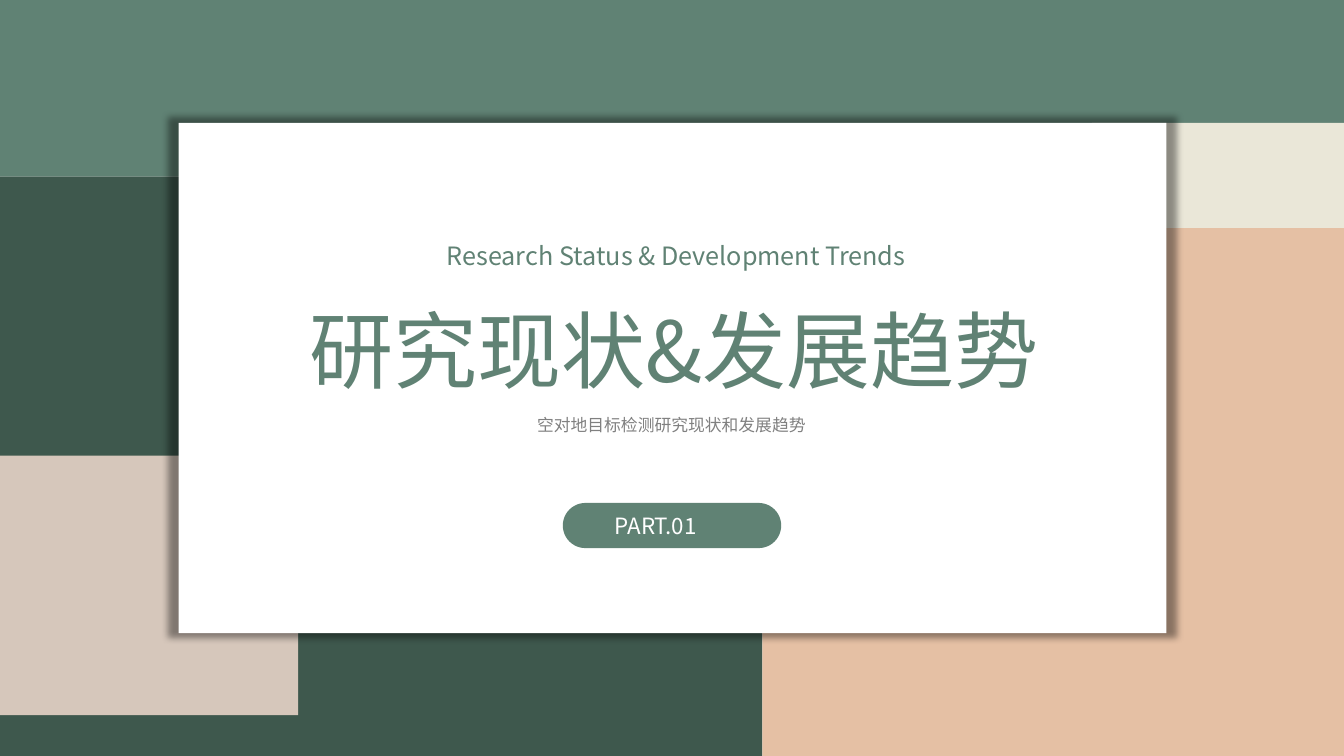
from lxml import etree
from pptx import Presentation
from pptx.dml.color import RGBColor
from pptx.enum.shapes import MSO_SHAPE
from pptx.enum.text import MSO_AUTO_SIZE, PP_ALIGN
from pptx.oxml.ns import qn
from pptx.util import Pt

PX = 9525  # EMU per pixel, 96 px to the inch
FONT = "Noto Sans CJK JP"

RECT = MSO_SHAPE.RECTANGLE
PILL = MSO_SHAPE.ROUNDED_RECTANGLE
CENTER, JUSTIFY = PP_ALIGN.CENTER, PP_ALIGN.JUSTIFY
GROW = MSO_AUTO_SIZE.SHAPE_TO_FIT_TEXT

DARK_GREEN = RGBColor(0x3E, 0x58, 0x4D)
GREEN = RGBColor(0x60, 0x82, 0x74)
PEACH = RGBColor(0xE5, 0xC0, 0xA4)
CREAM = RGBColor(0xEA, 0xE7, 0xD8)
BEIGE = RGBColor(0xD6, 0xC7, 0xBB)
WHITE = RGBColor(0xFF, 0xFF, 0xFF)
GRAY = RGBColor(0x80, 0x80, 0x80)

# Colour blocks from back to front: left, top, width, height, fill
BLOCKS = [
    (0, 168, 726, 552, DARK_GREEN),
    (0, 0, 1280, 168, GREEN),
    (726, 217, 554, 503, PEACH),
    (1040, 117, 240, 100, CREAM),
    (0, 434, 284, 247, BEIGE),
]


def emu(*lengths):
    return [length * PX for length in lengths]


def add_block(slide, x, y, w, h, color, kind=RECT):
    sp = slide.shapes.add_shape(kind, *emu(x, y, w, h))
    sp.shadow.inherit = False
    sp.fill.solid()
    sp.fill.fore_color.rgb = color
    sp.line.fill.background()
    return sp


def add_glow_shadow(sp):
    """Black shadow, slightly larger than the shape and centred behind it."""
    effects = sp._element.spPr.find(qn("a:effectLst"))
    shadow = etree.SubElement(effects, qn("a:outerShdw"), blurRad=str(Pt(5)),
                              sx="102000", sy="102000", algn="ctr",
                              rotWithShape="0")
    color = etree.SubElement(shadow, qn("a:srgbClr"), val="000000")
    etree.SubElement(color, qn("a:alpha"), val="40000")


def add_text(slide, x, y, w, h, text, size, color, spacing=1.0, align=CENTER):
    tf = slide.shapes.add_textbox(*emu(x, y, w, h)).text_frame
    tf.word_wrap = True
    tf.auto_size = GROW
    tf.text = text
    p = tf.paragraphs[0]
    p.alignment = align
    p.line_spacing = spacing
    r = p.runs[0]
    r.font.size = Pt(size)
    r.font.name = FONT
    r.font.color.rgb = color
    etree.SubElement(r.font._element, qn("a:ea"), typeface=FONT)


def main():
    prs = Presentation()
    prs.slide_width, prs.slide_height = emu(1280, 720)
    slide = prs.slides.add_slide(prs.slide_layouts[6])

    # Background blocks
    for block in BLOCKS:
        add_block(slide, *block)

    # White card
    card = add_block(slide, 170, 117, 941, 486, WHITE)
    add_glow_shadow(card)

    # Titles
    add_text(slide, 363, 210, 562, 49, "Research Status & Development Trends",
             18, GREEN, 1.5)
    add_text(slide, 248, 260, 787, 118, "研究现状&发展趋势", 60, GREEN, 1.2)

    # Part label
    pill = add_block(slide, 536, 479, 208, 43, GREEN, PILL)
    pill.adjustments[0] = 0.5
    add_text(slide, 576, 483, 127, 36, "PART.01", 16, WHITE, align=JUSTIFY)

    # Subtitle
    add_text(slide, 250, 381, 779, 36, "空对地目标检测研究现状和发展趋势",
             12, GRAY, 1.5)

    prs.save("out.pptx")


if __name__ == "__main__":
    main()
